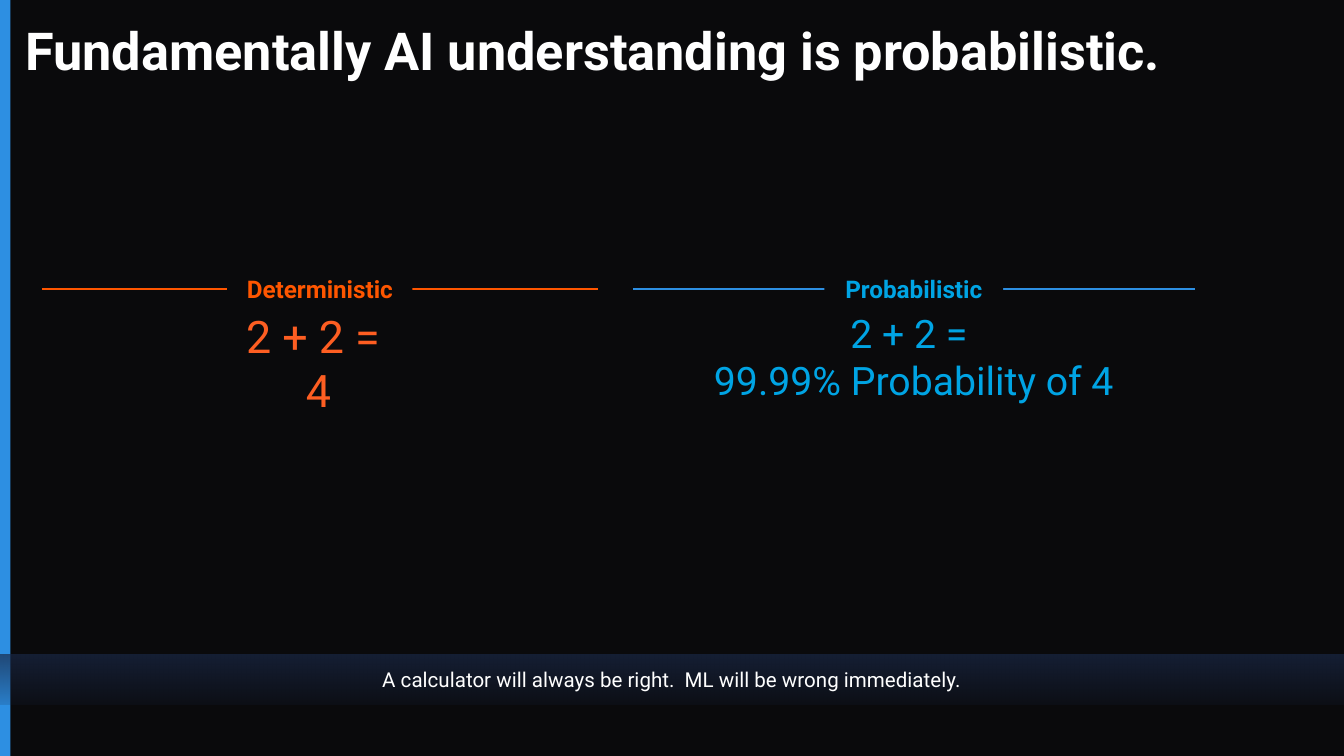
from dataclasses import dataclass

from lxml import etree
from pptx import Presentation
from pptx.dml.color import RGBColor
from pptx.enum import shapes, text
from pptx.oxml import ns
from pptx.util import Cm, Pt

FONT = "Roboto"
BACKGROUND, WHITE = "0A0A0C", "FFFFFF"
BLUE, NAVY = "2D8FE2", "1A2846"
LINE_Y = 5.46
LABEL_HEIGHT = 0.48
BODY_TOP, BODY_WIDTH = 5.59, 10.46


@dataclass
class Column:
    heading: str
    heading_color: str
    label_width: float
    line_color: str
    line_left: float
    line_right: float
    body: str
    body_color: str
    body_size: int
    body_left: float
    body_height: float


COLUMNS = [
    Column("Deterministic", "FF5600", 3.5, "FF5600", 0.79, 11.3,
           "2 + 2 = \n4", "FE5E22", 24, 0.79, 2.57),
    Column("Probabilistic", "00A4E4", 3.38, BLUE, 11.96, 22.58,
           "2 + 2 = \n99.99% Probability of 4", "00A4E4", 21, 12.04, 2.31),
]


def rgb(color: str) -> RGBColor:
    return RGBColor.from_string(color)


def write(shape, content: str, size: int, color: str, bold=False,
          align=text.PP_ALIGN.CENTER, anchor=text.MSO_ANCHOR.MIDDLE,
          inset_x=0.25, inset_y=0.25) -> None:
    frame = shape.text_frame
    frame.text = content
    frame.word_wrap = True
    frame.auto_size = text.MSO_AUTO_SIZE.NONE
    frame.vertical_anchor = anchor
    frame.margin_left = frame.margin_right = Cm(inset_x)
    frame.margin_top = frame.margin_bottom = Cm(inset_y)
    for paragraph in frame.paragraphs:
        paragraph.alignment = align
        for run in paragraph.runs:
            run.font.name, run.font.size, run.font.bold = FONT, Pt(size), bold
            run.font.color.rgb = rgb(color)


def add_rectangle(slide, left: float, top: float, width: float, height: float,
                  color: str):
    rectangle = slide.shapes.add_shape(shapes.MSO_SHAPE.RECTANGLE, Cm(left),
                                       Cm(top), Cm(width), Cm(height))
    rectangle.shadow.inherit = False
    rectangle.fill.solid()
    rectangle.fill.fore_color.rgb = rgb(color)
    rectangle.line.fill.background()
    return rectangle


def fade(shape, color: str, opacities: tuple[int, int]) -> None:
    """Fill with one colour that goes from the first to the second opacity, top to bottom."""
    shape.fill.gradient()
    shape.fill.gradient_angle = 270
    for stop in shape.fill.gradient_stops:
        stop.color.rgb = rgb(color)
    color_elements = shape.element.spPr.iter(ns.qn("a:srgbClr"))
    for element, opacity in zip(list(color_elements), opacities):
        etree.SubElement(element, ns.qn("a:alpha"), val=str(opacity * 1000))


def add_column(slide, column: Column) -> None:
    rule = slide.shapes.add_connector(
        shapes.MSO_CONNECTOR.STRAIGHT, Cm(column.line_left), Cm(LINE_Y),
        Cm(column.line_right), Cm(LINE_Y))
    rule.line.color.rgb = rgb(column.line_color)
    rule.line.width = Pt(0.75)
    etree.SubElement(rule.element.spPr, ns.qn("a:effectLst"))

    center = (column.line_left + column.line_right) / 2
    label = add_rectangle(slide, center - column.label_width / 2,
                          LINE_Y - LABEL_HEIGHT / 2, column.label_width,
                          LABEL_HEIGHT, BACKGROUND)
    write(label, column.heading, 13, column.heading_color, bold=True,
          inset_x=0.13)

    equation = slide.shapes.add_textbox(Cm(column.body_left), Cm(BODY_TOP),
                                        Cm(BODY_WIDTH), Cm(column.body_height))
    write(equation, column.body, column.body_size, column.body_color,
          anchor=text.MSO_ANCHOR.TOP)


def main() -> None:
    presentation = Presentation()
    presentation.slide_width, presentation.slide_height = Cm(25.4), Cm(14.29)
    slide = presentation.slides.add_slide(presentation.slide_layouts[5])
    slide.background.fill.solid()
    slide.background.fill.fore_color.rgb = rgb(BACKGROUND)

    add_rectangle(slide, 0, 0, 0.2, 14.29, BLUE)

    title = slide.shapes.title
    title.left, title.top = Cm(0.3), Cm(0.18)
    title.width, title.height = Cm(23.2), Cm(1.65)
    write(title, "Fundamentally AI understanding is probabilistic.", 28, WHITE,
          bold=True, align=text.PP_ALIGN.LEFT, inset_x=0.18, inset_y=0.1)
    title.text_frame.paragraphs[0].line_spacing = 0.9

    for column in COLUMNS:
        add_column(slide, column)

    takeaway = add_rectangle(slide, 0, 12.37, 25.4, 0.94, NAVY)
    fade(takeaway, NAVY, (70, 15))
    write(takeaway,
          "A calculator will always be right.  ML will be wrong immediately.",
          11, WHITE)

    presentation.save("out.pptx")


if __name__ == "__main__":
    main()
